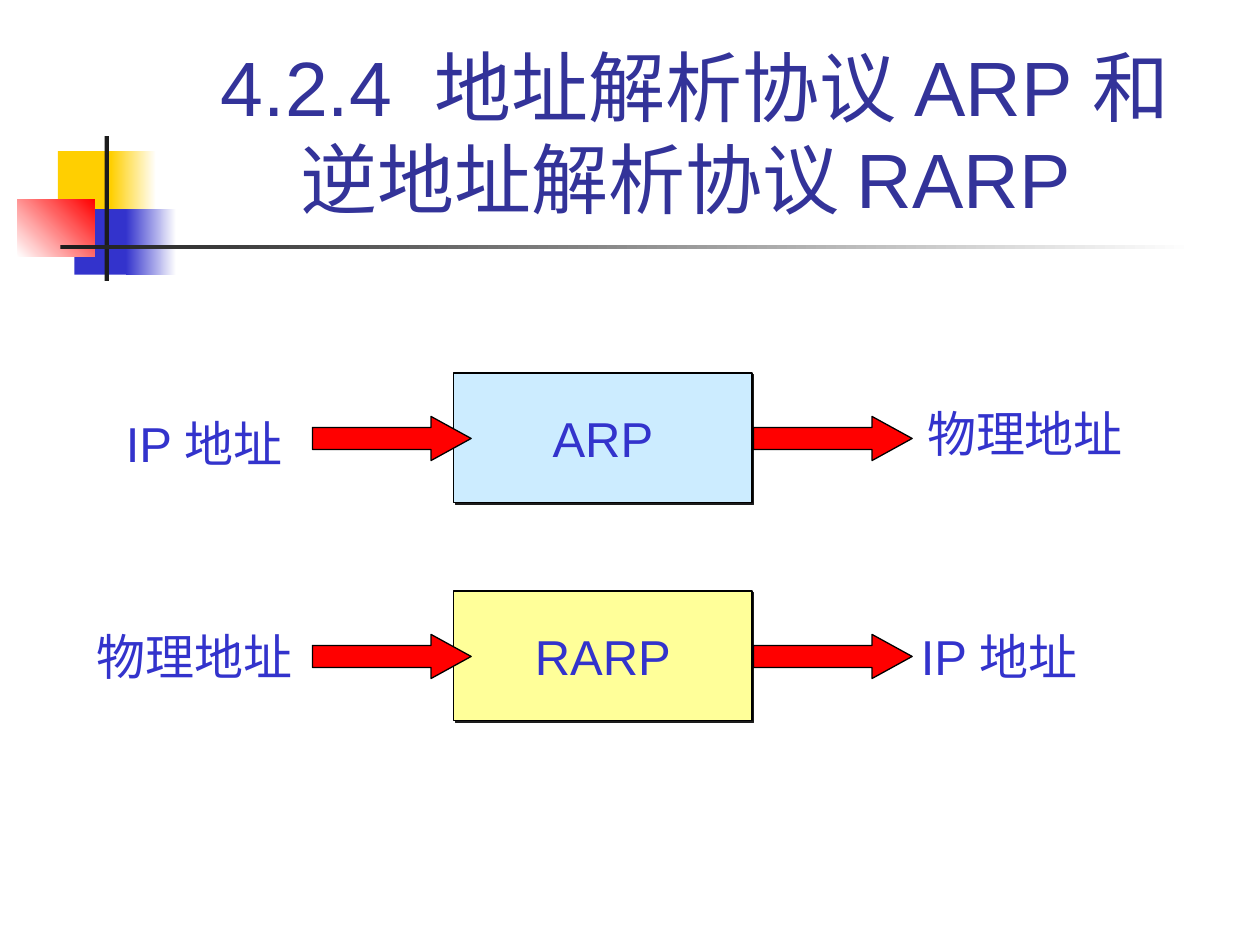
from lxml import etree
from pptx import Presentation
from pptx import util as u
from pptx.dml.color import RGBColor
from pptx.enum import shapes, text
from pptx.oxml import ns

COLORS = {
    "gold": "FFCF01", "blue": "3333CC", "red": "FF0000", "ink": "1C1C1C",
    "white": "FFFFFF", "black": "000000", "title": "333399",
    "sky": "CCECFF", "lemon": "FFFF99",
}
CELL = u.Inches(0.1)  # the slide is a grid of 100 columns by 75 rows
COLUMNS, ROWS = 100, 75
LABEL_SIZE, TITLE_SIZE = 28, 44


def rgb(name):
    return RGBColor.from_string(COLORS[name])


def grid(*cells):
    return [round(cell * CELL) for cell in cells]


def add_block(slide, area, color, kind=shapes.MSO_SHAPE.RECTANGLE, outlined=False):
    """Add a shape in one flat colour."""
    block = slide.shapes.add_shape(kind, *grid(*area))
    block.shadow.inherit = False
    block.fill.solid()
    block.fill.fore_color.rgb = rgb(color)
    if outlined:
        block.line.color.rgb = rgb("black")
        block.line.width = u.Pt(0.75)
    else:
        block.line.fill.background()
    return block


def add_fade(slide, area, start, end, angle=0):
    """Add a rectangle that fades from one colour to another."""
    fade = add_block(slide, area, start)
    fade.fill.gradient()
    fade.fill.gradient_angle = angle
    for stop, color, position in zip(fade.fill.gradient_stops, (start, end), (0, 1)):
        stop.color.rgb = rgb(color)
        stop.position = position


def add_run(paragraph, words, size, color, spacing=0):
    run = paragraph.add_run()
    run.text = words
    run.font.size = u.Pt(size)
    run.font.name = "Arial"
    run.font.color.rgb = rgb(color)
    if spacing:
        run.font._element.set("spc", str(spacing * 100))


def add_hard_shadow(shape):
    effects = shape._element.spPr.find(ns.qn("a:effectLst"))
    shadow = etree.SubElement(effects, ns.qn("a:outerShdw"),
                              dist=str(u.Pt(1.4)), dir=str(45 * 60000), algn="ctr",
                              rotWithShape="0")
    etree.SubElement(shadow, ns.qn("a:srgbClr"), val=COLORS["ink"])


def add_title(slide):
    frame = slide.shapes.add_textbox(*grid(12.6, 2.3, 85.2, 16)).text_frame
    frame.word_wrap = True
    frame.vertical_anchor = text.MSO_ANCHOR.BOTTOM
    heading = frame.paragraphs[0]
    heading.alignment = text.PP_ALIGN.CENTER
    add_run(heading, "4.2.4", TITLE_SIZE, "title")
    add_run(heading, " ", TITLE_SIZE, "title", spacing=12)
    add_run(heading, "地址解析协议 ARP 和", TITLE_SIZE, "title")
    heading.add_line_break()
    add_run(heading, "逆地址解析协议 RARP ", TITLE_SIZE, "title")


def add_label(slide, area, words):
    frame = slide.shapes.add_textbox(*grid(*area)).text_frame
    frame.word_wrap = False
    frame.auto_size = text.MSO_AUTO_SIZE.SHAPE_TO_FIT_TEXT
    add_run(frame.paragraphs[0], words, LABEL_SIZE, "blue")


def add_protocol(slide, top, name, color):
    """Add a protocol box with one arrow in and one arrow out."""
    box = add_block(slide, (36, top, 23.7, 10.3), color, outlined=True)
    add_hard_shadow(box)
    frame = box.text_frame
    frame.word_wrap = False
    frame.vertical_anchor = text.MSO_ANCHOR.MIDDLE
    frame.paragraphs[0].alignment = text.PP_ALIGN.CENTER
    add_run(frame.paragraphs[0], name, LABEL_SIZE, "blue")
    for left in (24.8, 59.8):
        arrow = add_block(slide, (left, top + 3.45, 12.6, 3.5), "red",
                          shapes.MSO_SHAPE.RIGHT_ARROW, outlined=True)
        arrow.adjustments[0] = 0.5
        arrow.adjustments[1] = 0.91


def add_ornament(slide):
    add_block(slide, (4.6, 12, 4.8, 5.2), "gold")
    add_fade(slide, (8.8, 12, 3.6, 5.2), "gold", "white")
    add_block(slide, (5.9, 16.6, 4.6, 5.2), "blue")
    add_fade(slide, (10, 16.6, 4, 5.2), "blue", "white")
    add_fade(slide, (1.4, 15.8, 6.1, 4.6), "white", "red", angle=45)
    # Crossing rules
    add_block(slide, (8.3, 10.8, 0.35, 11.5), "ink")
    add_fade(slide, (4.8, 19.45, 90, 0.35), "ink", "white")


def main():
    deck = Presentation()
    deck.slide_width, deck.slide_height = grid(COLUMNS, ROWS)
    slide = deck.slides.add_slide(deck.slide_layouts[6])

    add_ornament(slide)
    add_title(slide)

    # ARP: IP address to physical address
    add_label(slide, (9, 32.3, 15.4, 5.7), "IP 地址")
    add_label(slide, (72.6, 31.5, 17.5, 5.7), "物理地址")
    add_protocol(slide, 29.6, "ARP", "sky")

    # RARP: physical address to IP address
    add_label(slide, (6.7, 49.2, 17.5, 5.7), "物理地址")
    add_label(slide, (72.1, 49.2, 15.4, 5.7), "IP 地址")
    add_protocol(slide, 46.9, "RARP", "lemon")

    deck.save("out.pptx")


if __name__ == "__main__":
    main()
